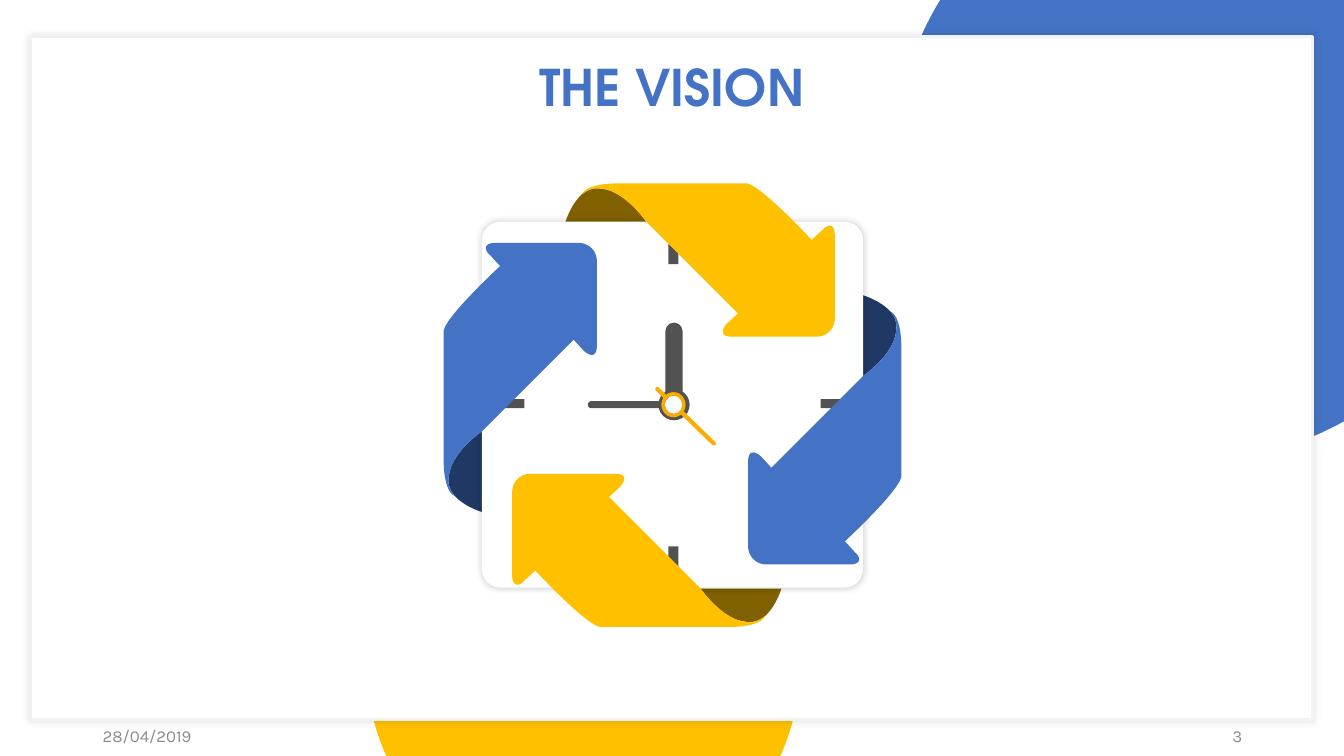
import dataclasses
import typing

import lxml.etree
import pptx
import pptx.dml.color
import pptx.enum.shapes
import pptx.enum.text
import pptx.oxml.ns
import pptx.util

RGB = pptx.dml.color.RGBColor
KIND = pptx.enum.shapes.MSO_SHAPE
ALIGN = pptx.enum.text.PP_ALIGN
ANCHOR = pptx.enum.text.MSO_ANCHOR

PX = 9144  # EMU in one px, 100 px to the inch
BLUE = RGB(0x44, 0x72, 0xC4)
NAVY = RGB(0x20, 0x38, 0x64)
GOLD = RGB(0xFF, 0xC0, 0x00)
BROWN = RGB(0x80, 0x60, 0x00)
AMBER = RGB(0xFA, 0xAD, 0x00)
WHITE = RGB(0xFF, 0xFF, 0xFF)
PALE = RGB(0xF2, 0xF2, 0xF2)
GREY = RGB(0x8B, 0x8B, 0x8B)
DARK = RGB(0x52, 0x52, 0x52)

Point = tuple[float, float]


@dataclasses.dataclass(frozen=True)
class Item:
    kind: KIND
    box: tuple[int, int, int, int]
    fill: RGB
    adjust: tuple[float, ...] = ()
    line: RGB | None = None
    shade: int = 0  # shadow opacity in percent


@dataclasses.dataclass(frozen=True)
class Arrow:
    """A folded arrow, given by its fold point and its clockwise quarter turns."""
    fold: tuple[int, int]
    turns: int
    front: RGB
    back: RGB


# Outlines of the top arrow: two numbers for a corner, six for a Bezier curve.
FOLD = (641, 220)
BAND = [
    (612, 182), (741, 182), (756, 185, 805, 238, 805, 238), (816, 228),
    (822, 221, 828, 223, 828, 233), (828, 316), (828, 326, 820, 334, 810, 334),
    (726, 334), (716, 334, 714, 329, 721, 321), (732, 311), FOLD,
    (641, 220, 619, 188, 595, 187), (588, 186, 582, 189, 577, 193),
    (581, 183, 605, 182, 612, 182),
]
FLAP = [
    (561, 220), (561, 220, 566, 203, 577, 193), (582, 189, 588, 186, 595, 187),
    (619, 188, 641, 220, 641, 220),
]
ARROWS = [
    Arrow(FOLD, 0, GOLD, BROWN),
    Arrow((695, 584), 2, GOLD, BROWN),
    Arrow((856, 373), 1, BLUE, NAVY),
    Arrow((478, 428), 3, BLUE, NAVY),
]
BACKDROP = [
    Item(KIND.OVAL, (364, 447, 429, 429), GOLD),
    Item(KIND.OVAL, (888, -142, 598, 598), BLUE),
    Item(KIND.RECTANGLE, (30, 36, 1272, 678), WHITE, line=PALE, shade=10),
]
FACE = [
    Item(KIND.ROUNDED_RECTANGLE, (478, 220, 378, 363), WHITE, (0.05,), shade=20),
    *(Item(KIND.RECTANGLE, (663, top, 10, 42), DARK) for top in (220, 542)),
    *(Item(KIND.RECTANGLE, (left, 396, 42, 9), DARK) for left in (478, 814)),
]
HANDS = [
    Item(KIND.ROUND_2_SAME_RECTANGLE, (660, 320, 17, 72), DARK, (0.5, 0)),
    Item(KIND.ROUNDED_RECTANGLE, (583, 398, 76, 7), DARK, (0.5,)),
    Item(KIND.DONUT, (653, 386, 31, 31), DARK, (0.2,)),
    Item(KIND.DONUT, (656, 389, 24, 25), AMBER, (0.14,)),
]
NEEDLE = [(652, 386, 660, 394), (676, 409, 708, 440)]


def node(parent: typing.Any, tag: str, **attrs: str) -> typing.Any:
    return lxml.etree.SubElement(parent, pptx.oxml.ns.qn(tag), attrs)


def paint(shape: typing.Any, fill: RGB) -> None:
    shape.shadow.inherit = False
    shape.fill.solid()
    shape.fill.fore_color.rgb = fill
    shape.line.fill.background()


def draw(shapes: typing.Any, item: Item) -> None:
    shape = shapes.add_shape(item.kind, *(n * PX for n in item.box))
    paint(shape, item.fill)
    for i, value in enumerate(item.adjust):
        shape.adjustments[i] = value
    if item.line is not None:
        shape.line.color.rgb = item.line
        shape.line.width = pptx.util.Pt(2)
    if item.shade:
        effects = shape._element.spPr.find(pptx.oxml.ns.qn("a:effectLst"))
        shadow = node(effects, "a:outerShdw", blurRad=str(pptx.util.Pt(5)),
                      dist="0", dir="0", algn="ctr", rotWithShape="0")
        color = node(shadow, "a:srgbClr", val="000000")
        node(color, "a:alpha", val=str(item.shade * 1000))


def trace(parts: list[tuple[int, ...]], steps: int = 12) -> list[Point]:
    """Turn corners and Bezier curves into a chain of points."""
    chain: list[Point] = []
    for part in parts:
        if len(part) == 2:
            chain.append(part)
            continue
        ends = [chain[-1], part[:2], part[2:4], part[4:]]
        for i in range(1, steps + 1):
            t = i / steps
            weights = ((1 - t) ** 3, 3 * t * (1 - t) ** 2, 3 * t * t * (1 - t), t ** 3)
            chain.append(tuple(sum(w * p[axis] for w, p in zip(weights, ends))
                               for axis in (0, 1)))
    return chain


def place(point: Point, arrow: Arrow) -> tuple[int, int]:
    """Turn a point of the top arrow about its fold, and move it to this arrow's."""
    x, y = point[0] - FOLD[0], point[1] - FOLD[1]
    for _ in range(arrow.turns):
        x, y = -y, x
    return round((arrow.fold[0] + x) * PX), round((arrow.fold[1] + y) * PX)


def bend(shapes: typing.Any, parts: list[tuple[int, ...]], arrow: Arrow, fill: RGB) -> None:
    first, *rest = [place(point, arrow) for point in trace(parts)]
    form = shapes.build_freeform(*first)
    form.add_line_segments(rest, close=True)
    paint(form.convert_to_shape(), fill)


def stroke(shapes: typing.Any, ends: tuple[int, int, int, int]) -> None:
    line = shapes.add_connector(pptx.enum.shapes.MSO_CONNECTOR.STRAIGHT,
                                *(n * PX for n in ends))
    line.line.color.rgb = AMBER
    line.line.width = pptx.util.Pt(3)
    props = line._element.spPr
    props.find(pptx.oxml.ns.qn("a:ln")).set("cap", "rnd")
    node(props, "a:effectLst")


def write(shape: typing.Any, text: str, *, box: tuple[int, int, int, int], font: str,
          size: int, color: RGB, bold: bool = False, align: ALIGN = ALIGN.LEFT,
          anchor: ANCHOR = ANCHOR.MIDDLE, inset: int | None = None) -> None:
    shape.left, shape.top, shape.width, shape.height = (n * PX for n in box)
    frame = shape.text_frame
    frame.text = text
    frame.word_wrap = True
    frame.auto_size = pptx.enum.text.MSO_AUTO_SIZE.NONE
    frame.vertical_anchor = anchor
    if inset is not None:
        frame.margin_left = frame.margin_right = inset
        frame.margin_top = frame.margin_bottom = inset
    para = frame.paragraphs[0]
    para.alignment = align
    style = para.runs[0].font
    style.name, style.size, style.bold = font, pptx.util.Pt(size), bold
    style.color.rgb = color


def main() -> None:
    deck = pptx.Presentation()
    deck.slide_width, deck.slide_height = 1333 * PX, 750 * PX
    shapes = deck.slides.add_slide(deck.slide_layouts[5]).shapes
    for item in BACKDROP:
        draw(shapes, item)

    title = shapes.title
    shapes._spTree.append(title._element)  # bring in front of the panel
    write(title, "THE VISION", box=(61, 56, 1211, 60), font="TeX Gyre Adventor", size=36,
          color=BLUE, bold=True, align=ALIGN.CENTER, anchor=ANCHOR.TOP, inset=0)
    for text, left, align in (("28/04/2019", 92, ALIGN.LEFT), ("3", 942, ALIGN.RIGHT)):
        write(shapes.add_textbox(0, 0, 0, 0), text, box=(left, 710, 300, 40),
              font="Karla", size=12, color=GREY, align=align)

    clock = shapes.add_group_shape().shapes
    for arrow in ARROWS:
        bend(clock, FLAP, arrow, arrow.back)
    for item in FACE:
        draw(clock, item)
    for arrow in ARROWS:
        bend(clock, BAND, arrow, arrow.front)
    for item in HANDS:
        draw(clock, item)
    for ends in NEEDLE:
        stroke(clock, ends)
    deck.save("out.pptx")


if __name__ == "__main__":
    main()
